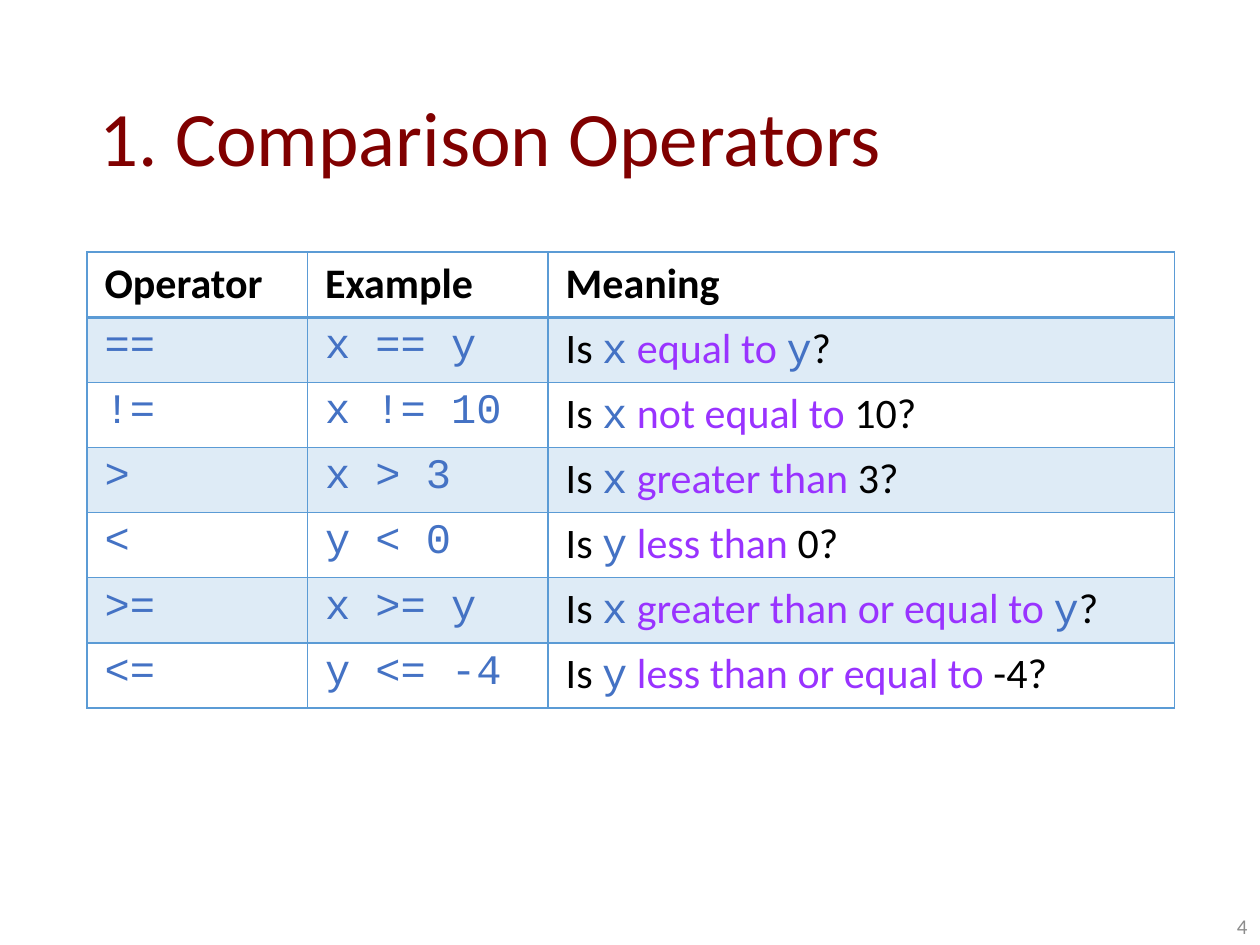
from lxml import etree
from pptx import Presentation
from pptx.dml.color import RGBColor
from pptx.enum.text import MSO_ANCHOR, PP_ALIGN
from pptx.oxml.ns import qn
from pptx.util import Inches, Pt

LEFT, RIGHT = PP_ALIGN.LEFT, PP_ALIGN.RIGHT
MIDDLE, BOTTOM = MSO_ANCHOR.MIDDLE, MSO_ANCHOR.BOTTOM
TITLE_ONLY = 5

BODY_FONT, CODE_FONT = "Calibri", "Courier New"
MAROON, BLACK, GREY = "800000", "000000", "8C8C8C"
CODE_BLUE, PURPLE, TABLE_BLUE = "4472C4", "9933FF", "5B9BD5"

# Run styles: font and colour
PLAIN = (BODY_FONT, BLACK)
CODE = (CODE_FONT, CODE_BLUE)
KEY = (BODY_FONT, PURPLE)

HEADERS = ["Operator", "Example", "Meaning"]
# Operator, example, then the subject, relation and object of the question
OPERATORS = [
    ("==", "x == y", "x", "equal to", "y"),
    ("!=", "x != 10", "x", "not equal to", "10"),
    (">", "x > 3", "x", "greater than", "3"),
    ("<", "y < 0", "y", "less than", "0"),
    (">=", "x >= y", "x", "greater than or equal to", "y"),
    ("<=", "y <= -4", "y", "less than or equal to", "-4"),
]


def color(hex_string):
    return RGBColor.from_string(hex_string)


def question(subject, relation, target):
    target_style = CODE if target.isalpha() else PLAIN
    return [("Is ", PLAIN), (subject, CODE), (f" {relation} ", KEY),
            (target, target_style), ("?", PLAIN)]


class SlideBuilder:
    def __init__(self, slide):
        self.slide = slide
        self.table_size = 24

    def add_runs(self, paragraph, runs, size, bold=False):
        for text, (font, hex_string) in runs:
            run = paragraph.add_run()
            run.text = text
            run.font.name = font
            run.font.size = Pt(size)
            run.font.bold = bold
            run.font.color.rgb = color(hex_string)

    def title(self, text, left, top, width, height):
        heading = self.slide.shapes.title
        heading.left, heading.top = Inches(left), Inches(top)
        heading.width, heading.height = Inches(width), Inches(height)
        heading.text_frame.vertical_anchor = MIDDLE
        paragraph = heading.text_frame.paragraphs[0]
        paragraph.alignment = LEFT
        paragraph.line_spacing = 0.9
        self.add_runs(paragraph, [(text, (BODY_FONT, MAROON))], 44)

    def page_number(self, text, left, top, width, height):
        box = self.slide.shapes.add_textbox(
            Inches(left), Inches(top), Inches(width), Inches(height))
        box.text_frame.word_wrap = True
        box.text_frame.vertical_anchor = BOTTOM
        paragraph = box.text_frame.paragraphs[0]
        paragraph.alignment = RIGHT
        self.add_runs(paragraph, [(text, (BODY_FONT, GREY))], 12)

    def borders(self, cell, widths):
        properties = cell._tc.get_or_add_tcPr()
        for side, width in widths.items():
            line = etree.SubElement(properties, qn(f"a:ln{side}"), w=str(Pt(width)))
            fill = etree.SubElement(line, qn("a:solidFill"))
            etree.SubElement(fill, qn("a:srgbClr"), val=TABLE_BLUE)

    def shade(self, cell, banded):
        if not banded:
            cell.fill.background()
            return
        cell.fill.solid()
        cell.fill.fore_color.rgb = color(TABLE_BLUE)
        tint = cell._tc.tcPr.find(f"{qn('a:solidFill')}/{qn('a:srgbClr')}")
        etree.SubElement(tint, qn("a:alpha"), val="20000")

    def table(self, rows, left, top, column_widths, height):
        table = self.slide.shapes.add_table(
            len(rows), len(column_widths), Inches(left), Inches(top),
            Inches(sum(column_widths)), Inches(height)).table
        table.first_row = table.horz_banding = False
        for column, width in zip(table.columns, column_widths):
            column.width = Inches(width)
        for r, row in enumerate(rows):
            # The rule under the header is heavier than the other lines
            widths = {"L": 1, "R": 1, "T": 2 if r == 1 else 1, "B": 2 if r == 0 else 1}
            for c, runs in enumerate(row):
                cell = table.cell(r, c)
                cell.margin_left = cell.margin_right = Inches(0.14)
                cell.margin_top = cell.margin_bottom = Inches(0.05)
                self.borders(cell, widths)
                self.shade(cell, r % 2 == 1)
                self.add_runs(cell.text_frame.paragraphs[0], runs,
                              self.table_size, bold=r == 0)


def main():
    presentation = Presentation()
    presentation.slide_width, presentation.slide_height = Inches(10), Inches(7.5)
    layout = presentation.slide_layouts[TITLE_ONLY]
    builder = SlideBuilder(presentation.slides.add_slide(layout))

    # Heading
    builder.title("1. Comparison Operators", 0.69, 0.4, 8.62, 1.45)

    # Operator table
    rows = [[[(header, PLAIN)] for header in HEADERS]]
    for operator, example, *parts in OPERATORS:
        rows.append([[(operator, CODE)], [(example, CODE)], question(*parts)])
    builder.table(rows, 0.69, 2, [1.75, 1.91, 4.97], 3.62)

    # Page number
    builder.page_number("4", 7.75, 7.1, 2.25, 0.4)

    presentation.save("out.pptx")


if __name__ == "__main__":
    main()
